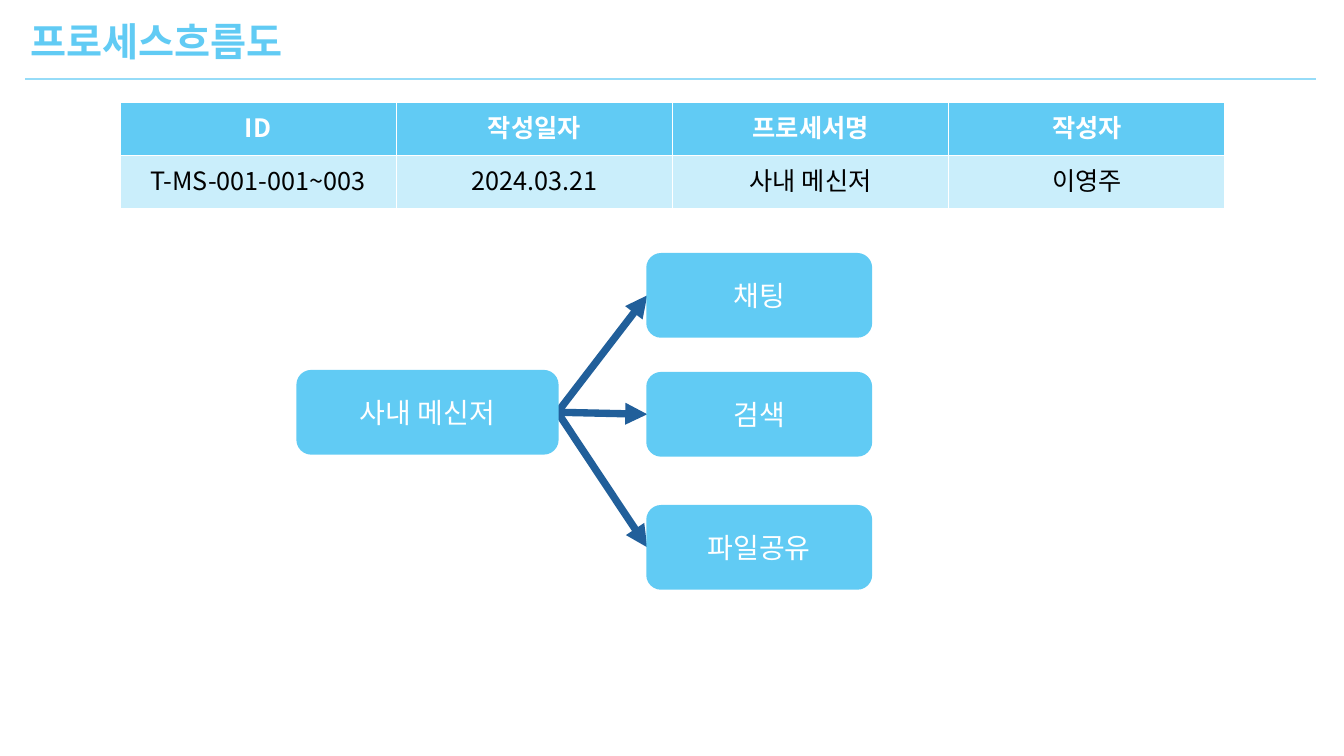
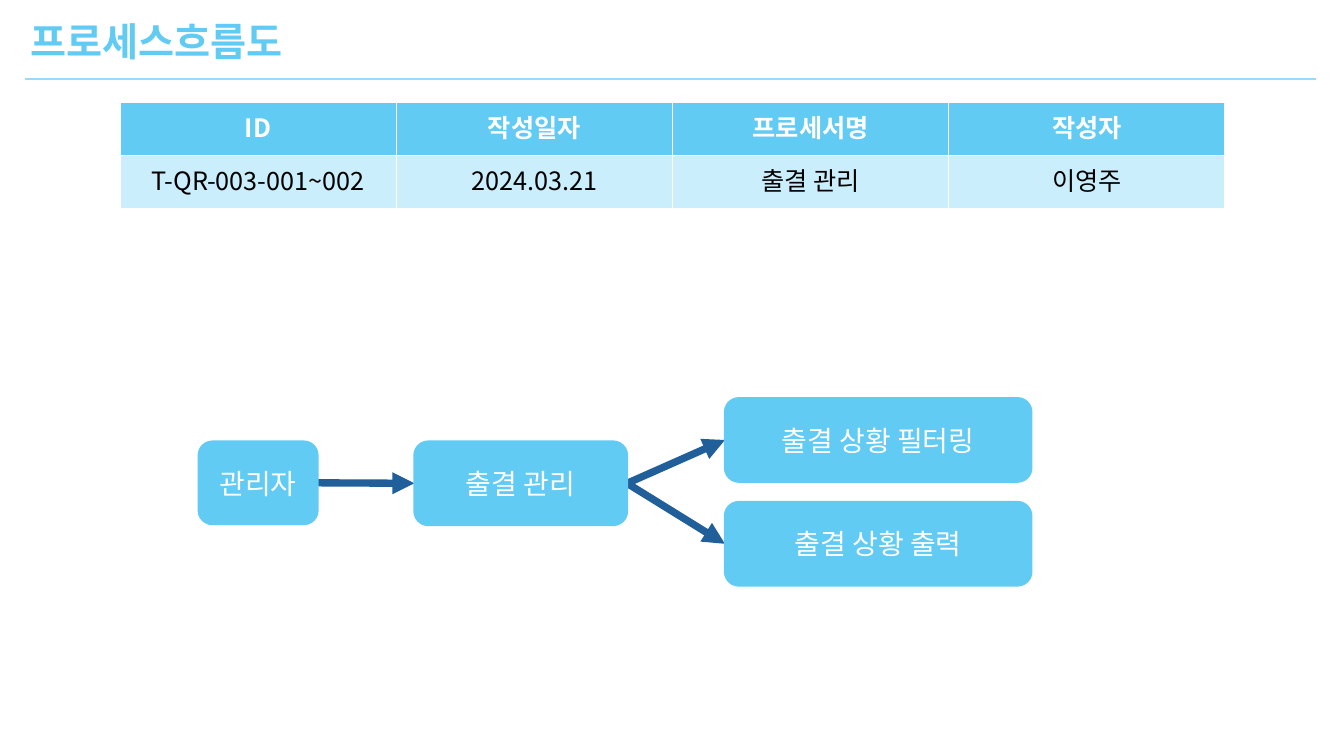
from lxml.etree import SubElement
from pptx import Presentation
from pptx.dml.color import RGBColor
from pptx.enum.shapes import MSO_CONNECTOR, MSO_SHAPE
from pptx.enum.text import MSO_ANCHOR, MSO_AUTO_SIZE, PP_ALIGN
from pptx.oxml.ns import qn
from pptx.util import Pt

PX = 9144
FONT = "Noto Sans CJK KR"
SKY = RGBColor(0x61, 0xCB, 0xF4)
PALE_SKY = RGBColor(0xCA, 0xEE, 0xFB)
RULE_SKY = RGBColor(0x96, 0xDC, 0xF8)
NAVY = RGBColor(0x21, 0x5F, 0x9A)
WHITE = RGBColor(0xFF, 0xFF, 0xFF)
BLACK = RGBColor(0x00, 0x00, 0x00)

TITLE = "프로세스흐름도"
HEADINGS = ["ID", "작성일자", "프로세서명", "작성자"]
TITLE_FRAME = {
    "word_wrap": False,
    "auto_size": MSO_AUTO_SIZE.NONE,
    "vertical_anchor": MSO_ANCHOR.MIDDLE,
}
TITLE_PLACE = {"left": 20 * PX, "top": 12 * PX, "width": 295 * PX, "height": 57 * PX}

PROCESSES = [
    {
        "record": ["T-MS-001-001~003", "2024.03.21", "사내 메신저", "이영주"],
        "steps": {
            "채팅": (642, 252, 222, 82),
            "검색": (642, 370, 222, 82),
            "사내 메신저": (295, 368, 258, 82),
            "파일공유": (642, 502, 222, 82),
        },
        "flows": [
            ("사내 메신저", "파일공유"),
            ("사내 메신저", "검색"),
            ("사내 메신저", "채팅"),
        ],
    },
    {
        "record": ["T-QR-003-001~002", "2024.03.21", "출결 관리", "이영주"],
        "steps": {
            "관리자": (197, 438, 118, 82),
            "출결 관리": (411, 438, 211, 83),
            "출결 상황 필터링": (719, 395, 304, 83),
            "출결 상황 출력": (719, 498, 304, 83),
        },
        "flows": [
            ("출결 관리", "출결 상황 출력"),
            ("출결 관리", "출결 상황 필터링"),
            ("관리자", "출결 관리"),
        ],
    },
]


def write(frame, text, size, color, bold=False, align=PP_ALIGN.CENTER):
    paragraph = frame.paragraphs[0]
    paragraph.alignment = align
    run = paragraph.add_run()
    run.text = text
    run.font.color.rgb = color
    for name, value in {"name": FONT, "size": Pt(size), "bold": bold}.items():
        setattr(run.font, name, value)
    SubElement(run.font._element, qn("a:ea"), typeface=FONT)


def draw_line(slide, start, end, color, width):
    ends = [round(length * PX) for length in (*start, *end)]
    connector = slide.shapes.add_connector(MSO_CONNECTOR.STRAIGHT, *ends)
    connector.line.color.rgb = color
    connector.line.width = Pt(width)
    SubElement(connector._element.spPr, qn("a:effectLst"))
    return connector


deck = Presentation()
deck.slide_width = 1333 * PX
deck.slide_height = 750 * PX

for process in PROCESSES:
    slide = deck.slides.add_slide(deck.slide_layouts[5])
    steps = process["steps"]

    for source, target in process["flows"]:
        left, top, width, height = steps[source]
        target_left, target_top, _, target_height = steps[target]
        start = (left + width, top + height / 2)
        end = (target_left, target_top + target_height / 2)
        arrow = draw_line(slide, start, end, NAVY, 5.25)
        SubElement(arrow.line._get_or_add_ln(), qn("a:tailEnd"), type="triangle")

    draw_line(slide, (25, 78), (1305, 78), RULE_SKY, 1.5)

    heading = slide.shapes.title
    for name, value in TITLE_PLACE.items():
        setattr(heading, name, value)
    for name, value in TITLE_FRAME.items():
        setattr(heading.text_frame, name, value)
    write(heading.text_frame, TITLE, 28, SKY, True, PP_ALIGN.LEFT)

    rows = [(HEADINGS, SKY, WHITE, True), (process["record"], PALE_SKY, BLACK, False)]
    summary = slide.shapes.add_table(
        len(rows), len(HEADINGS), 119 * PX, 102 * PX, 1096 * PX, 105 * PX
    ).table
    for row, (texts, fill, color, bold) in enumerate(rows):
        for column, text in enumerate(texts):
            cell = summary.cell(row, column)
            cell.fill.solid()
            cell.fill.fore_color.rgb = fill
            write(cell.text_frame, text, 18, color, bold)

    for label, place in steps.items():
        step = slide.shapes.add_shape(
            MSO_SHAPE.ROUNDED_RECTANGLE, *[length * PX for length in place]
        )
        step.shadow.inherit = False
        step.fill.solid()
        step.fill.fore_color.rgb = SKY
        step.line.color.rgb = SKY
        step.line.width = Pt(1.5)
        step.text_frame.vertical_anchor = MSO_ANCHOR.MIDDLE
        write(step.text_frame, label, 20, WHITE)

deck.save("out.pptx")
